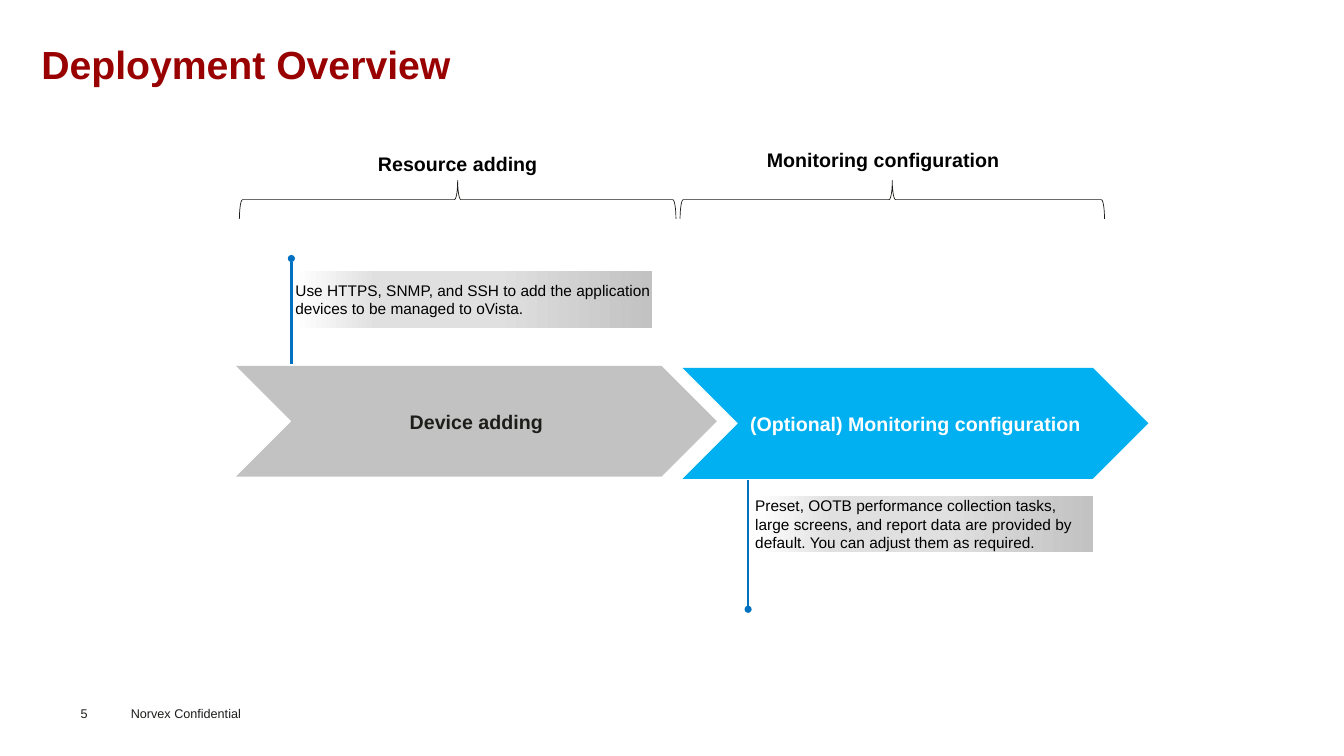
from lxml import etree
from pptx import Presentation
from pptx.dml.color import RGBColor
from pptx.enum import shapes, text
from pptx.oxml import ns
from pptx.util import Inches, Pt

COLORS = {
    "title": "990000", "ink": "1D1D1A", "footer": "1D1D1B", "black": "000000",
    "white": "FFFFFF", "gray": "C2C2C2", "pale": "E0E0E0", "sky": "00B0F0", "pin": "0070C0",
}
# Position in thousandths of a percent, left to right
NOTE_STOPS = [(0, "white"), (23000, "pale"), (56000, "pale"), (100000, "gray")]
LEFT, CENTER = text.PP_ALIGN.LEFT, text.PP_ALIGN.CENTER
TOP, MIDDLE = text.MSO_ANCHOR.TOP, text.MSO_ANCHOR.MIDDLE


def write(box, words, size, color, bold=False, align=LEFT, anchor=MIDDLE, insets=(0, 0, 0, 0)):
    frame = box.text_frame
    frame.text = words
    frame.word_wrap = True
    frame.auto_size = text.MSO_AUTO_SIZE.NONE
    frame.vertical_anchor = anchor
    for side, inset in zip(("left", "top", "right", "bottom"), insets):
        setattr(frame, f"margin_{side}", Inches(inset))
    para = frame.paragraphs[0]
    para.alignment = align
    font = para.runs[0].font
    for name, value in {"name": "Arial", "size": Pt(size), "bold": bold}.items():
        setattr(font, name, value)
    font.color.rgb = RGBColor.from_string(COLORS[color])


def add_shape(kind, left, top, width, height, fill=None):
    """Add a preset shape without shadow or outline."""
    shape = page.shapes.add_shape(kind, *map(Inches, (left, top, width, height)))
    shape.shadow.inherit = False
    shape.line.fill.background()
    if fill:
        shape.fill.solid()
        shape.fill.fore_color.rgb = RGBColor.from_string(COLORS[fill])
    else:
        shape.fill.background()
    return shape


deck = Presentation()
deck.slide_width, deck.slide_height = Inches(13.33), Inches(7.5)
page = deck.slides.add_slide(deck.slide_layouts[5])

title = page.shapes.title
title.left, title.top, title.width, title.height = map(Inches, (0.41, 0.36, 9.19, 0.55))
write(title, "Deployment Overview", 28, "title", bold=True, insets=(0, 0.04, 0.09, 0.04))

# Footer
for words, place, insets in [
    ("Norvex Confidential", (1.2, 6.95, 1.6, 0.25), (0.1, 0.05, 0.1, 0.05)),
    ("5", (0.8, 7, 0.55, 0.15), (0, 0, 0, 0)),
]:
    box = page.shapes.add_textbox(*map(Inches, place))
    write(box, words, 9, "footer", anchor=TOP, insets=insets)

# Process steps
for words, left, top, width, fill, color in [
    ("Device adding", 2.34, 3.63, 4.77, "gray", "ink"),
    ("(Optional) Monitoring configuration", 6.77, 3.65, 4.62, "sky", "white"),
]:
    step = add_shape(shapes.MSO_SHAPE.CHEVRON, left, top, width, 1.1, fill)
    write(step, words, 14, color, bold=True, align=CENTER, insets=(0.1, 0.05, 0.1, 0.05))

# Phase headings, each above a brace turned to open downwards
BRACE_DEPTH, BRACE_MIDDLE, HEADING_WIDTH = 0.38, 1.98, 3
for words, center, heading_top, span in [
    ("Resource adding", 4.54, 1.51, 4.33),
    ("Monitoring configuration", 8.76, 1.47, 4.21),
]:
    heading = page.shapes.add_textbox(
        Inches(center - HEADING_WIDTH / 2), Inches(heading_top), Inches(HEADING_WIDTH), Inches(0.25))
    write(heading, words, 14, "black", bold=True, align=CENTER, anchor=TOP)
    brace_center = center if center < 6 else 8.85
    brace = add_shape(shapes.MSO_SHAPE.RIGHT_BRACE, brace_center - BRACE_DEPTH / 2,
                      BRACE_MIDDLE - span / 2, BRACE_DEPTH, span)
    brace.rotation = 270
    brace.line.color.rgb = RGBColor.from_string(COLORS["ink"])
    brace.line.width = Pt(0.5)

# Notes, each pinned to its step by a line ending in a dot
DOT = 0.07
for words, place, pin_left, pin_top, pin_bottom, dot_top in [
    ("Use HTTPS, SNMP, and SSH to add the application devices to be managed to oVista.",
     (2.93, 2.69, 3.54, 0.56), 2.89, 2.6, 3.61, 2.53),
    ("Preset, OOTB performance collection tasks, large screens, and report data are provided "
     "by default. You can adjust them as required.",
     (7.49, 4.92, 3.35, 0.56), 7.42, 4.76, 6.03, 6.01),
]:
    note = add_shape(shapes.MSO_SHAPE.RECTANGLE, *place)
    note.fill.gradient()
    note.fill.gradient_angle = 0
    stops = note._element.spPr.find(".//" + ns.qn("a:gsLst"))
    for stop in list(stops):
        stops.remove(stop)
    for position, color in NOTE_STOPS:
        stop = etree.SubElement(stops, ns.qn("a:gs"), pos=str(position))
        etree.SubElement(stop, ns.qn("a:srgbClr"), val=COLORS[color])
    write(note, words, 11, "black")

    pin = page.shapes.add_connector(
        shapes.MSO_CONNECTOR.STRAIGHT, *map(Inches, (pin_left, pin_top, pin_left, pin_bottom)))
    pin.line.color.rgb = RGBColor.from_string(COLORS["pin"])
    pin.line.width = Pt(1.75)
    etree.SubElement(pin._element.spPr, ns.qn("a:effectLst"))
    add_shape(shapes.MSO_SHAPE.OVAL, pin_left - DOT / 2, dot_top, DOT, DOT, "pin")

deck.save("out.pptx")
